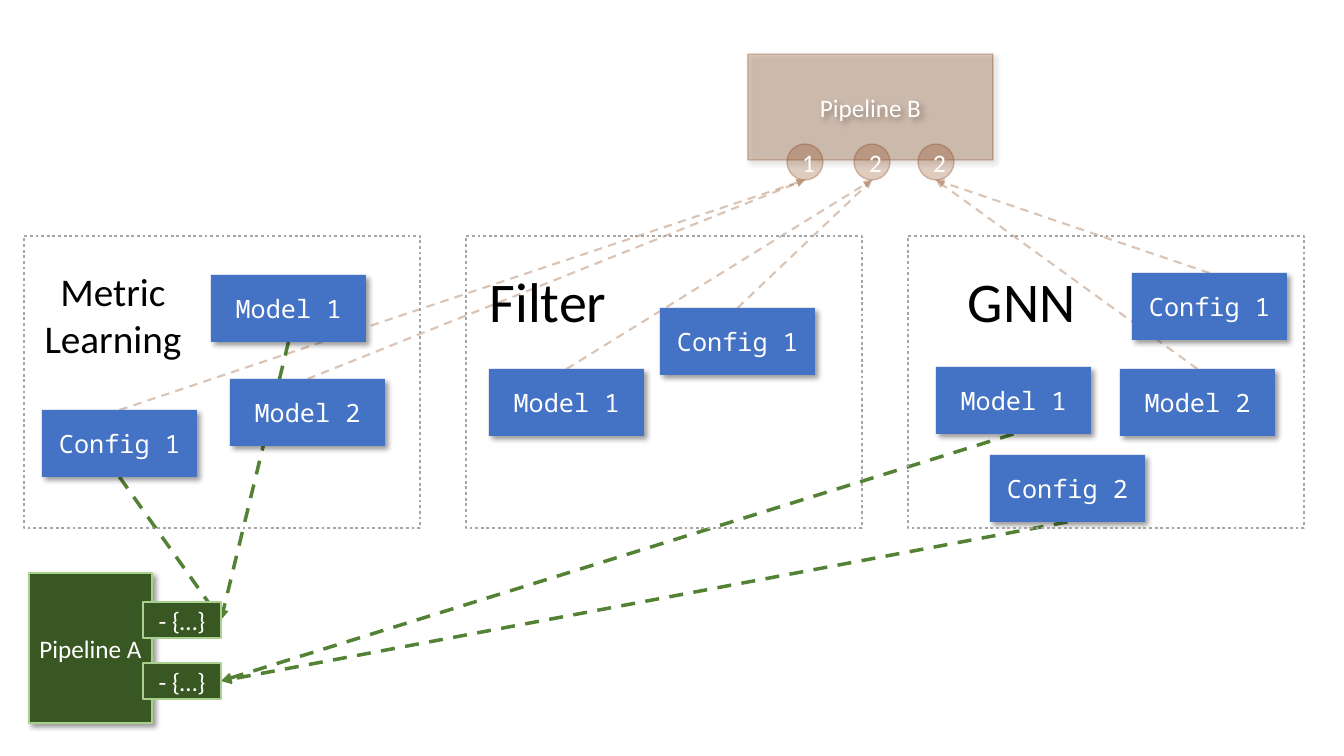
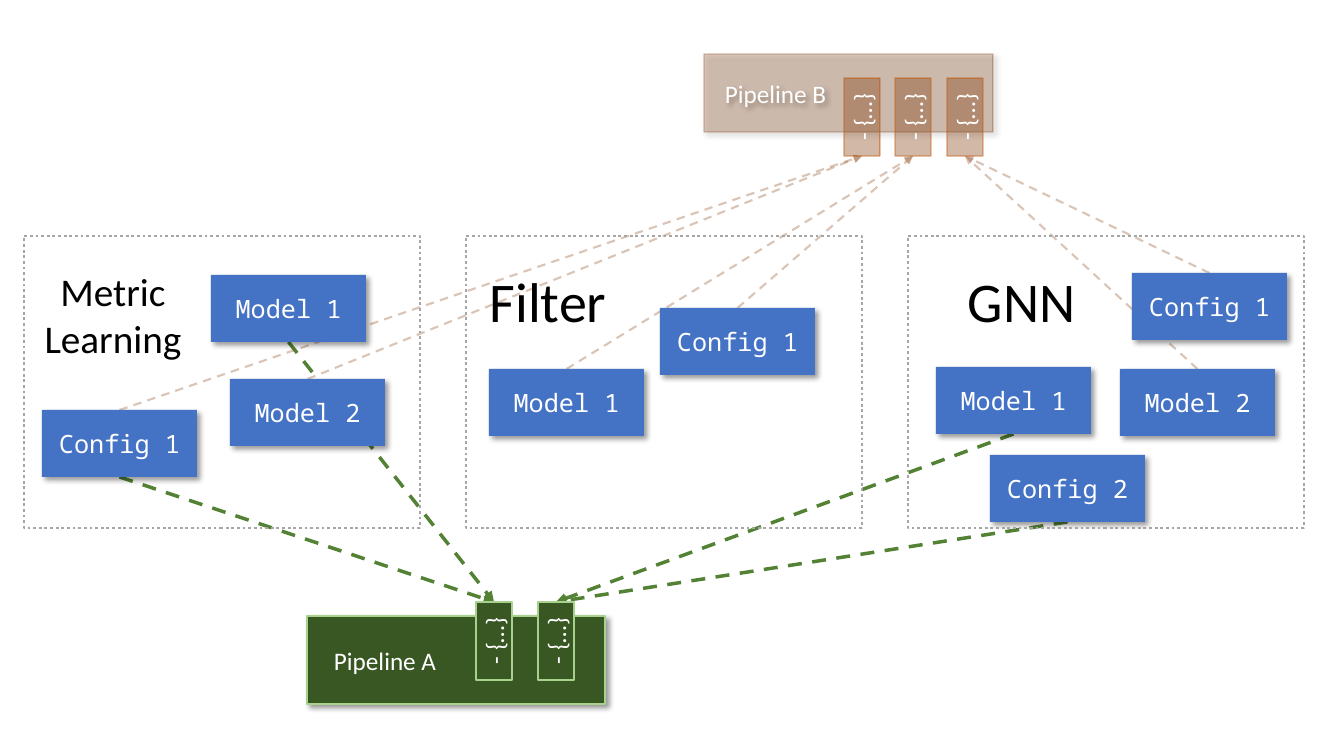
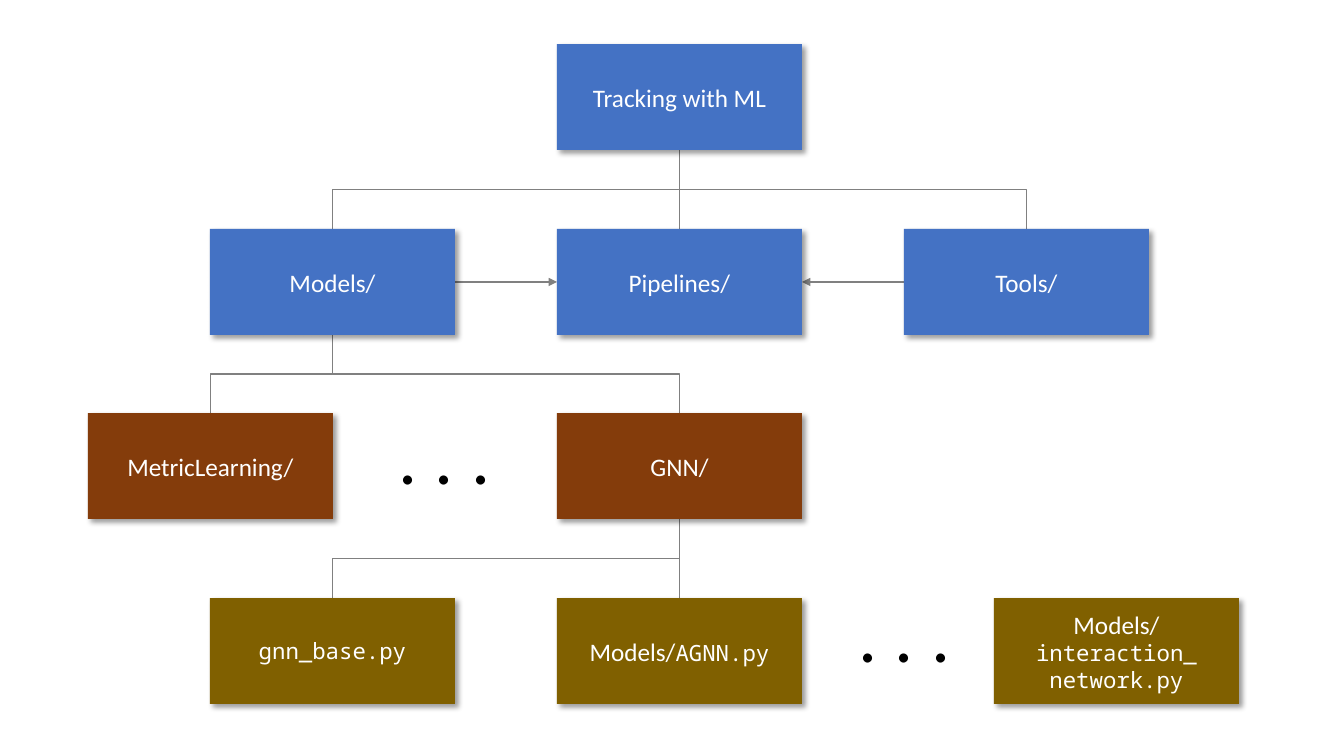
"""Build two pipeline wiring diagrams and one repository tree."""
from dataclasses import dataclass
from typing import Optional

from lxml.etree import SubElement
from pptx import Presentation
from pptx.dml.color import RGBColor
from pptx.enum.dml import MSO_LINE
from pptx.enum.shapes import MSO_CONNECTOR, MSO_SHAPE
from pptx.enum.text import MSO_AUTO_SIZE, PP_ALIGN
from pptx.oxml.ns import qn
from pptx.shapes.autoshape import Shape
from pptx.shapes.connector import Connector
from pptx.slide import Slide
from pptx.util import Emu, Pt

EMU_PER_PIXEL = 914400 / 100.8
SANS, MONO = "Calibri", "Noto Sans Mono"
COLORS = {
    "blue": "4472C4", "green": "385723", "light green": "A9D18E", "link green": "548235",
    "brown": "843C0B", "orange": "C55A11", "olive": "806000",
    "frame": "A6A6A6", "tree": "808080", "white": "FFFFFF", "black": "000000",
}
SIDES = {"top": (0.5, 0), "left": (0, 0.5), "bottom": (0.5, 1), "right": (1, 0.5)}
Point = tuple[float, float]


@dataclass(frozen=True)
class Box:
    left: float
    top: float
    width: float
    height: float

    def side(self, name: str) -> Point:
        across, down = SIDES[name]
        return self.left + self.width * across, self.top + self.height * down

    def turned(self) -> "Box":
        shift = (self.width - self.height) / 2
        return Box(self.left + shift, self.top - shift, self.height, self.width)


@dataclass(frozen=True)
class Stroke:
    color: str
    width: float
    dash: Optional[MSO_LINE] = None
    opacity: int = 100
    arrow: bool = False


@dataclass(frozen=True)
class Look:
    fill: Optional[str]
    stroke: Optional[Stroke] = None
    opacity: int = 100
    shadow: bool = False


@dataclass(frozen=True)
class Phrase:
    text: str
    font: str = SANS
    size: int = 18
    color: str = "white"


@dataclass(frozen=True)
class Label:
    phrase: Phrase
    box: Box


@dataclass(frozen=True)
class Pipeline:
    name: str
    box: Box
    look: Look
    link: Stroke
    card_side: str
    port_side: str
    ports: list[Box]
    port_texts: list[str]
    port_look: Look
    sources: list[tuple[str, str]]
    port_shape: MSO_SHAPE = MSO_SHAPE.RECTANGLE
    upright_ports: bool = False
    indent: Optional[int] = None


@dataclass(frozen=True)
class Node:
    phrases: list[Phrase]
    left: int
    row: int
    color: str

    @property
    def box(self) -> Box:
        return Box(self.left, round(44 + self.row * 184.6), 245, 106)


def px(pixels: float) -> Emu:
    """Turn pixels into EMU."""
    return Emu(round(pixels * EMU_PER_PIXEL))


def rgb(name: str) -> RGBColor:
    """Look up a named colour."""
    return RGBColor.from_string(COLORS[name])


def set_opacity(parent, percent: int) -> None:
    """Make the colours below an XML element translucent."""
    if percent < 100:
        for color in parent.iter(qn("a:srgbClr")):
            SubElement(color, qn("a:alpha"), val=str(percent * 1000))


def apply_stroke(shape: Shape | Connector, stroke: Stroke) -> None:
    """Format the outline of a shape or a connector."""
    shape.line.color.rgb = rgb(stroke.color)
    shape.line.width = Pt(stroke.width)
    if stroke.dash is not None:
        shape.line.dash_style = stroke.dash
    outline = shape.element.spPr.find(qn("a:ln"))
    set_opacity(outline, stroke.opacity)
    if stroke.arrow:
        SubElement(outline, qn("a:tailEnd"), type="triangle")


def apply_look(shape: Shape, look: Look) -> None:
    """Set the fill, outline and shadow of a shape."""
    if look.fill:
        shape.fill.solid()
        shape.fill.fore_color.rgb = rgb(look.fill)
        set_opacity(shape.element.spPr.find(qn("a:solidFill")), look.opacity)
    else:
        shape.fill.background()
    if look.stroke:
        apply_stroke(shape, look.stroke)
    else:
        shape.line.fill.background()
    shape.shadow.inherit = False
    if look.shadow:
        effects = shape.element.spPr.find(qn("a:effectLst"))
        shadow = SubElement(effects, qn("a:outerShdw"), blurRad=str(Pt(4)), dist=str(Pt(3)),
                            dir="2700000", algn="tl", rotWithShape="0")
        color = SubElement(shadow, qn("a:srgbClr"), val=COLORS["black"])
        set_opacity(shadow, 40)


def write(shape: Shape, phrases: list[Phrase], alignment: PP_ALIGN = PP_ALIGN.CENTER) -> None:
    """Write phrases one after another, a line break starting a paragraph."""
    frame = shape.text_frame
    frame.text = phrases[0].text
    for phrase in phrases[1:]:
        frame.paragraphs[-1].add_run().text = phrase.text
    for paragraph in frame.paragraphs:
        paragraph.alignment = alignment
        for index, run in enumerate(paragraph.runs):
            run.font.name = phrases[index].font
            run.font.size = Pt(phrases[index].size)
            run.font.color.rgb = rgb(phrases[index].color)


def add_block(slide: Slide, box: Box, look: Look, phrases: Optional[list[Phrase]] = None,
              kind: MSO_SHAPE = MSO_SHAPE.RECTANGLE) -> Shape:
    """Add a preset shape with optional centred text."""
    shape = slide.shapes.add_shape(kind, px(box.left), px(box.top), px(box.width), px(box.height))
    apply_look(shape, look)
    if phrases:
        write(shape, phrases)
    return shape


def add_label(slide: Slide, label: Label) -> None:
    """Add an unwrapped text box."""
    box = label.box
    shape = slide.shapes.add_textbox(px(box.left), px(box.top), px(box.width), px(box.height))
    shape.text_frame.word_wrap = False
    shape.text_frame.auto_size = MSO_AUTO_SIZE.SHAPE_TO_FIT_TEXT
    write(shape, [label.phrase])


def add_line(slide: Slide, start: Point, end: Point, stroke: Stroke,
             kind: MSO_CONNECTOR = MSO_CONNECTOR.STRAIGHT) -> Connector:
    """Add a connector without a shadow."""
    connector = slide.shapes.add_connector(kind, px(start[0]), px(start[1]), px(end[0]), px(end[1]))
    apply_stroke(connector, stroke)
    SubElement(connector.element.spPr, qn("a:effectLst"))
    return connector


def add_branch(slide: Slide, parent: Box, child: Box) -> None:
    """Join a parent to a child below it, going down, across and down."""
    start, end = parent.side("bottom"), child.side("top")
    if abs(start[0] - end[0]) < 1:
        add_line(slide, start, end, TREE_LINE)
        return
    drop, span = end[1] - start[1], abs(end[0] - start[0])
    left = (start[0] + end[0] - drop) / 2
    top = (start[1] + end[1] - span) / 2
    rightward = end[0] > start[0]
    first, last = (left + drop, left) if rightward else (left, left + drop)
    connector = add_line(slide, (first, top), (last, top + span), TREE_LINE, MSO_CONNECTOR.ELBOW)
    connector.rotation = 270 if rightward else 90


def add_pipeline(slide: Slide, pipeline: Pipeline) -> None:
    """Add a pipeline block and its ports."""
    block = add_block(slide, pipeline.box, pipeline.look, [Phrase(pipeline.name)])
    if pipeline.indent is not None:
        block.text_frame.margin_left = px(pipeline.indent)
        block.text_frame.paragraphs[0].alignment = PP_ALIGN.LEFT
    for box, text in zip(pipeline.ports, pipeline.port_texts):
        place = box.turned() if pipeline.upright_ports else box
        port = add_block(slide, place, pipeline.port_look, [Phrase(text)], pipeline.port_shape)
        if pipeline.upright_ports:
            port.rotation = 270


def draw_wiring(slide: Slide, pipelines: list[Pipeline]) -> None:
    """Draw the three stages and the pipelines that use their cards."""
    for pipeline in pipelines:
        for port, sources in zip(pipeline.ports, pipeline.sources):
            for source in sources:
                add_line(slide, CARDS[source].side(pipeline.card_side),
                         port.side(pipeline.port_side), pipeline.link)
    for name, box in CARDS.items():
        add_block(slide, box, CARD_LOOK, [Phrase(name.split(": ")[1], MONO)])
    for label in STAGE_LABELS:
        add_label(slide, label)
    for stage in range(3):
        add_block(slide, Box(24 + 442 * stage, 236, 396, 292), FRAME_LOOK)
    for pipeline in pipelines:
        add_pipeline(slide, pipeline)


def draw_tree(slide: Slide) -> None:
    """Draw the repository tree."""
    for parent, child in BRANCHES:
        add_branch(slide, NODES[parent].box, NODES[child].box)
    for source, start, end in (("models", "right", "left"), ("tools", "left", "right")):
        add_line(slide, NODES[source].box.side(start), NODES["pipelines"].box.side(end), TREE_ARROW)
    for node in NODES.values():
        add_block(slide, node.box, Look(node.color, shadow=True), node.phrases)
    for left, top in ((388, 404), (848, 582)):
        add_label(slide, Label(Phrase(". . .", size=54, color="black"), Box(left, top, 113, 102)))


CARD_LOOK = Look("blue", shadow=True)
FRAME_LOOK = Look(None, Stroke("frame", 2, MSO_LINE.ROUND_DOT))
GREEN_EDGE = Stroke("light green", 1)
GREEN_BLOCK = Look("green", GREEN_EDGE, shadow=True)
GREEN_PORT = Look("green", GREEN_EDGE)
BROWN_EDGE = Stroke("brown", 1, opacity=30)
BROWN_BLOCK = Look("brown", BROWN_EDGE, 26, shadow=True)
BROWN_BADGE = Look("brown", BROWN_EDGE, 26)
BROWN_PORT = Look("brown", Stroke("orange", 1, opacity=52), 36)
GREEN_LINK = Stroke("link green", 2.5, MSO_LINE.DASH, arrow=True)
BROWN_LINK = Stroke("brown", 1.5, MSO_LINE.DASH, 30, True)
TREE_LINE = Stroke("tree", 1.25)
TREE_ARROW = Stroke("tree", 1.25, arrow=True)

CARDS = {
    name: Box(left, top, 155, 67)
    for name, left, top in (
        ("Metric: Model 1", 211, 275), ("Metric: Model 2", 230, 379), ("Metric: Config 1", 42, 410),
        ("Filter: Model 1", 489, 369), ("Filter: Config 1", 660, 308),
        ("GNN: Model 1", 936, 367), ("GNN: Model 2", 1120, 369),
        ("GNN: Config 1", 1132, 273), ("GNN: Config 2", 990, 455),
    )
}
STAGE_LABELS = [
    Label(Phrase("Metric\nLearning", size=28, color="black"), Box(34, 262, 158, 105)),
    Label(Phrase("Filter", size=40, color="black"), Box(479, 262, 138, 78)),
    Label(Phrase("GNN", size=40, color="black"), Box(957, 262, 129, 78)),
]
SOURCES_A = [("Metric: Model 1", "Metric: Config 1"), ("GNN: Model 1", "GNN: Config 2")]
SOURCES_B = [("Metric: Config 1", "Metric: Model 2"), ("Filter: Model 1", "Filter: Config 1"),
             ("GNN: Config 1", "GNN: Model 2")]
PORT_TEXT = "- {…}"

NUMBERED_WIRING = [
    Pipeline("Pipeline A", Box(29, 573, 123, 150), GREEN_BLOCK, GREEN_LINK, "bottom", "right",
             [Box(143, top, 78, 36) for top in (602, 663)], [PORT_TEXT] * 2, GREEN_PORT, SOURCES_A),
    Pipeline("Pipeline B", Box(748, 54, 245, 106), BROWN_BLOCK, BROWN_LINK, "top", "bottom",
             [Box(left, 144, 36, 36) for left in (787, 854, 918)], ["1", "2", "2"], BROWN_BADGE,
             SOURCES_B, port_shape=MSO_SHAPE.OVAL),
]
CONFIGURED_WIRING = [
    Pipeline("Pipeline A", Box(307, 616, 298, 88), GREEN_BLOCK, GREEN_LINK, "bottom", "top",
             [Box(left, 602, 36, 78) for left in (476, 538)], [PORT_TEXT] * 2, GREEN_PORT,
             SOURCES_A, upright_ports=True, indent=27),
    Pipeline("Pipeline B", Box(704, 54, 289, 78), BROWN_BLOCK, BROWN_LINK, "top", "bottom",
             [Box(left, 78, 36, 78) for left in (844, 895, 947)], [PORT_TEXT] * 3, BROWN_PORT,
             SOURCES_B, upright_ports=True, indent=21),
]
NODES = {
    "root": Node([Phrase("Tracking with ML")], 557, 0, "blue"),
    "models": Node([Phrase("Models/")], 210, 1, "blue"),
    "pipelines": Node([Phrase("Pipelines/")], 557, 1, "blue"),
    "tools": Node([Phrase("Tools/")], 904, 1, "blue"),
    "metric": Node([Phrase("MetricLearning/")], 88, 2, "brown"),
    "gnn": Node([Phrase("GNN/")], 557, 2, "brown"),
    "base": Node([Phrase("gnn_base.py", MONO, 16)], 210, 3, "olive"),
    "agnn": Node([Phrase("Models/"), Phrase("AGNN.py", MONO, 16)], 557, 3, "olive"),
    "interaction": Node([Phrase("Models/"), Phrase("interaction_ network.py", MONO, 16)],
                        994, 3, "olive"),
}
BRANCHES = [("root", "models"), ("root", "pipelines"), ("root", "tools"),
            ("models", "metric"), ("models", "gnn"), ("gnn", "base"), ("gnn", "agnn")]


def main() -> None:
    """Build and save the presentation."""
    presentation = Presentation()
    presentation.slide_width, presentation.slide_height = px(1344), px(756)
    blank = presentation.slide_layouts[6]
    for wiring in (NUMBERED_WIRING, CONFIGURED_WIRING):
        draw_wiring(presentation.slides.add_slide(blank), wiring)
    draw_tree(presentation.slides.add_slide(blank))
    presentation.save("out.pptx")


main()
